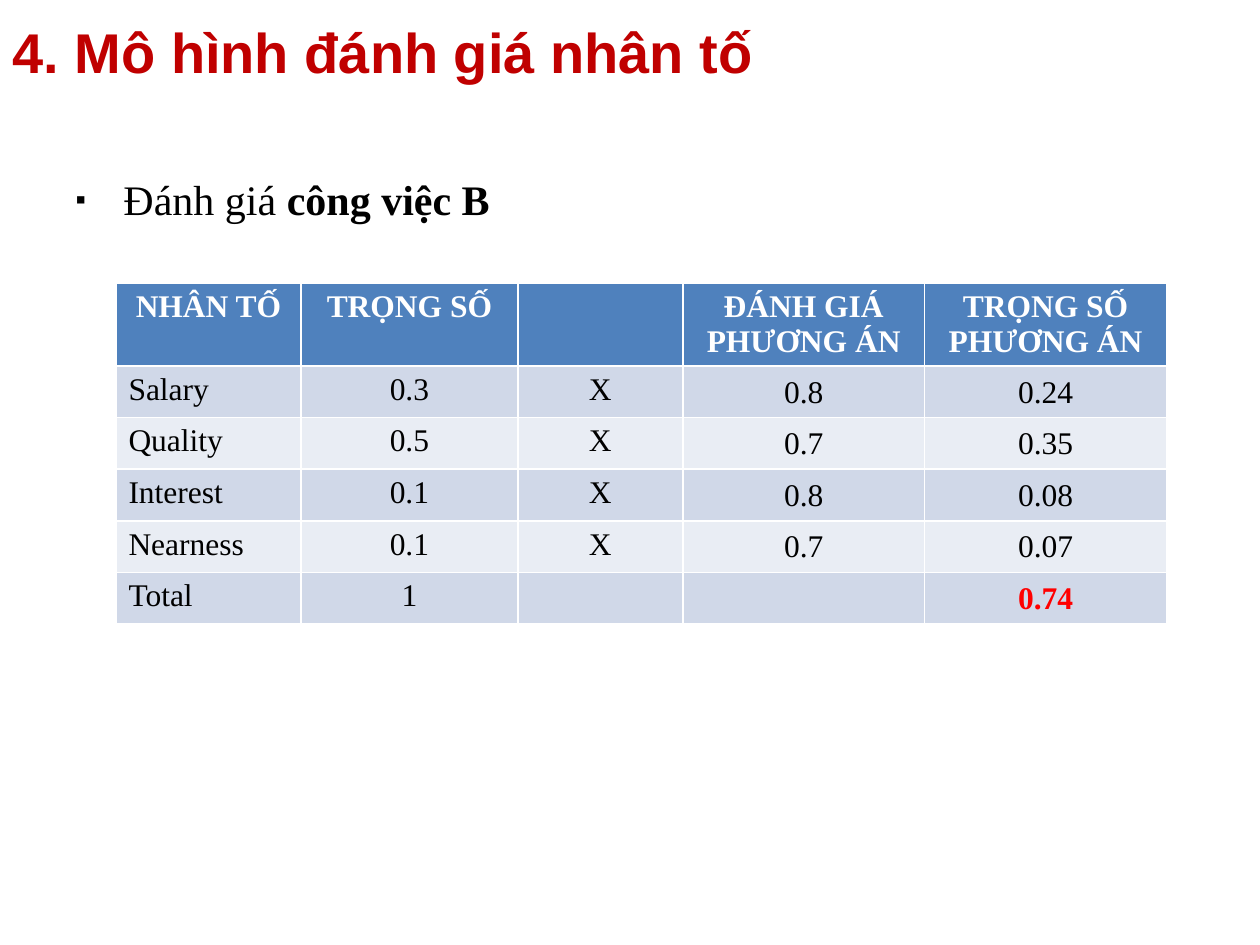
from lxml.etree import SubElement
from pptx import Presentation
from pptx.dml.color import RGBColor
from pptx.enum.text import MSO_ANCHOR, MSO_AUTO_SIZE, PP_ALIGN
from pptx.oxml.ns import qn
from pptx.util import Inches, Pt

COLORS = {
    "title": "C00000", "text": "000000", "head": "4F81BD", "white": "FFFFFF",
    "odd": "D0D8E8", "even": "E9EDF4", "total": "FF0000",
}
SERIF = "Times New Roman"


def style(para, name, size, color, bold=False):
    font = para.font
    font.name, font.size, font.bold = name, Pt(size), bold
    font.color.rgb = RGBColor.from_string(COLORS[color])


def place(shape, left, top, width, height):
    shape.left, shape.top = Inches(left), Inches(top)
    shape.width, shape.height = Inches(width), Inches(height)


deck = Presentation()
deck.slide_width, deck.slide_height = Inches(10), Inches(7.5)
slide = deck.slides.add_slide(deck.slide_layouts[1])

# Title
title = slide.shapes.title
place(title, 0, 0, 9, 0.72)
frame = title.text_frame
frame.text = "4. Mô hình đánh giá nhân tố"
frame.vertical_anchor = MSO_ANCHOR.BOTTOM
frame.auto_size = MSO_AUTO_SIZE.NONE
frame.paragraphs[0].alignment = PP_ALIGN.LEFT
style(frame.paragraphs[0], "Arial", 32, "title", True)

# Bulleted line
body = slide.placeholders[1]
place(body, 0.5, 1.33, 9, 4.95)
body.text_frame.auto_size = MSO_AUTO_SIZE.NONE
line = body.text_frame.paragraphs[0]
line.add_run().text = "Đánh giá "
job = line.add_run()
job.text = "công việc B"
job.font.bold = True
props = line._p.get_or_add_pPr()
props.set("marL", str(Inches(0.38)))
props.set("indent", str(Inches(-0.38)))
SubElement(props, qn("a:buSzPct"), val="70000")
SubElement(props, qn("a:buFont"), typeface="Arial")
SubElement(props, qn("a:buChar"), char="▪")
style(line, SERIF, 24, "text")

# Factor table
rows = [
    ["NHÂN TỐ", "TRỌNG SỐ", "", "ĐÁNH GIÁ PHƯƠNG ÁN", "TRỌNG SỐ PHƯƠNG ÁN"],
    ["Salary", "0.3", "X", "0.8", "0.24"],
    ["Quality", "0.5", "X", "0.7", "0.35"],
    ["Interest", "0.1", "X", "0.8", "0.08"],
    ["Nearness", "0.1", "X", "0.7", "0.07"],
    ["Total", "1", "", "", "0.74"],
]
widths = [1.47, 1.72, 1.31, 1.92, 1.92]
table = slide.shapes.add_table(
    len(rows), len(widths), Inches(0.92), Inches(2.25), Inches(8.33), Inches(2.73)
).table
for col, width in zip(table.columns, widths):
    col.width = Inches(width)

for r, row in enumerate(rows):
    table.rows[r].height = Inches(0.41 if r else 0.5)
    band = "head" if r == 0 else "odd" if r % 2 else "even"
    for c, text in enumerate(row):
        cell = table.cell(r, c)
        cell.fill.solid()
        cell.fill.fore_color.rgb = RGBColor.from_string(COLORS[band])
        if not text:
            continue
        cell.text = text
        para = cell.text_frame.paragraphs[0]
        if r == 0 or c > 0:
            para.alignment = PP_ALIGN.CENTER
        if r and c > 2:
            cell.vertical_anchor = MSO_ANCHOR.MIDDLE
            cell.margin_left = cell.margin_right = cell.margin_top = Inches(0.01)
            cell.margin_bottom = 0
        last = text == rows[-1][-1]
        color = "white" if r == 0 else "total" if last else "text"
        style(para, SERIF, 18, color, r == 0 or last)

deck.save("out.pptx")
